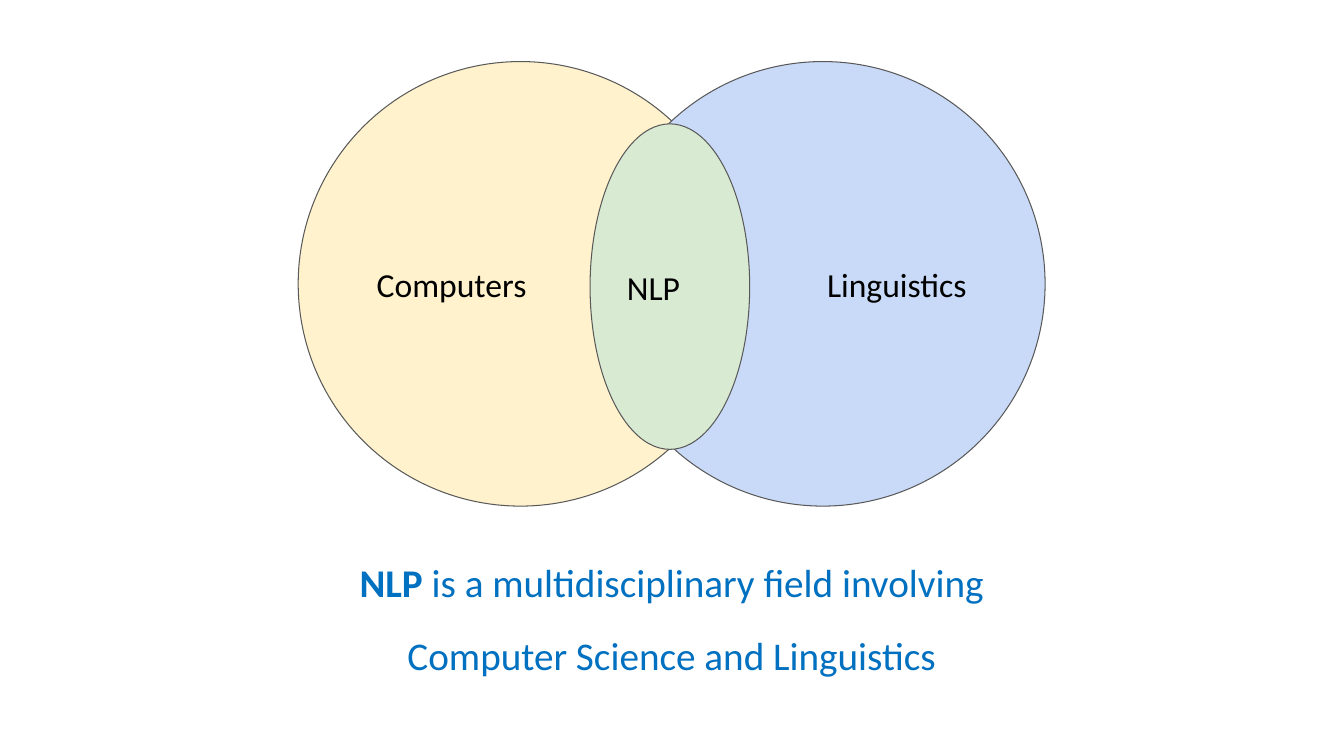
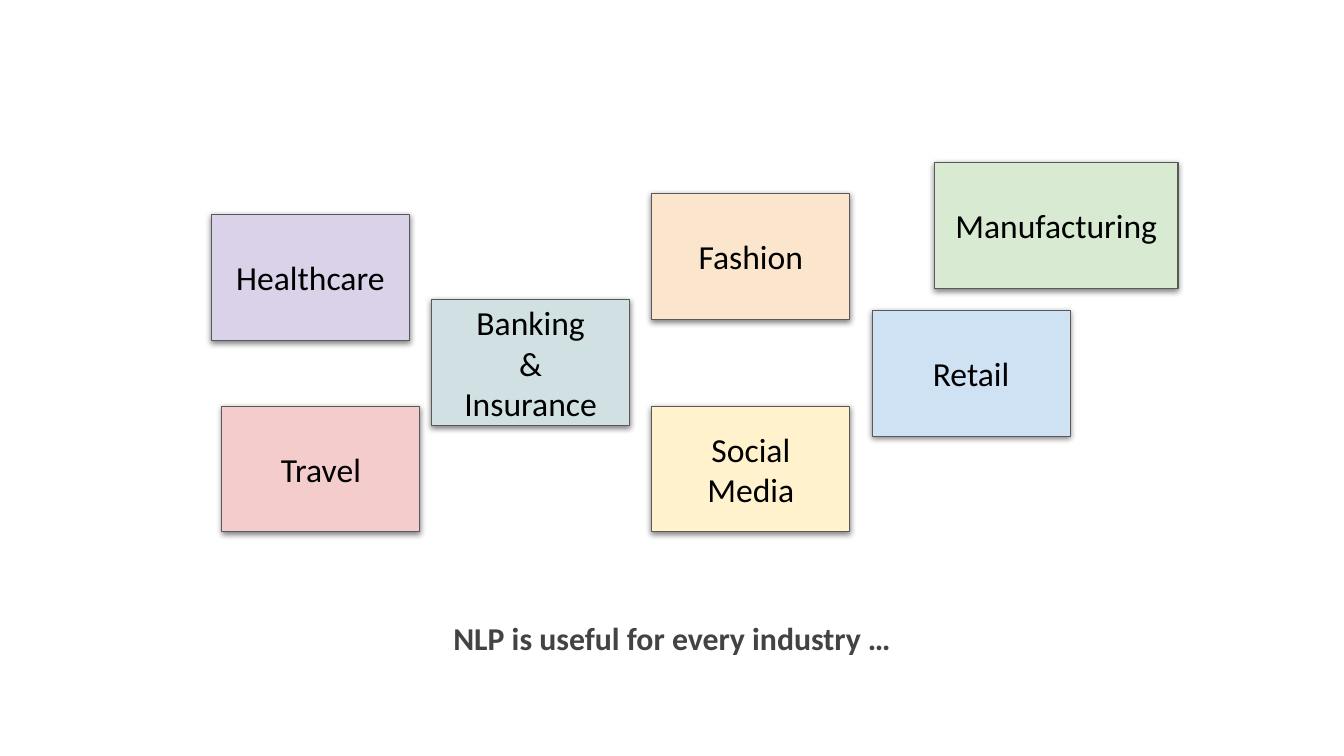
from lxml import etree
from pptx import Presentation
from pptx.dml.color import RGBColor
from pptx.enum.shapes import MSO_SHAPE
from pptx.enum.text import MSO_ANCHOR, MSO_AUTO_SIZE, PP_ALIGN
from pptx.oxml import parse_xml
from pptx.oxml.ns import nsdecls, qn
from pptx.util import Pt

OVAL, RECTANGLE = MSO_SHAPE.OVAL, MSO_SHAPE.RECTANGLE
LEFT, CENTER, RIGHT = PP_ALIGN.LEFT, PP_ALIGN.CENTER, PP_ALIGN.RIGHT
MIDDLE, NO_AUTOFIT = MSO_ANCHOR.MIDDLE, MSO_AUTO_SIZE.NONE

FONT = "Calibri"
INSET = 9.6
TITLE_ONLY = 5
COLORS = {
    "text": "000000", "outline": "595959", "blue": "0070C0", "gray": "434343",
    "yellow": "FFF2CC", "periwinkle": "C9DAF8", "green": "D9EAD3",
    "purple": "D9D2E9", "teal": "D0E0E3", "red": "F4CCCC",
    "orange": "FCE5CD", "sky": "CFE2F3",
}


def write(shape, text, size, color, align=CENTER):
    """Fill the shape with text, one paragraph per line, and return the paragraphs."""
    frame = shape.text_frame
    frame.text = text
    frame.word_wrap = True
    frame.auto_size = NO_AUTOFIT
    frame.vertical_anchor = MIDDLE
    frame.margin_left = frame.margin_right = Pt(INSET)
    frame.margin_top = frame.margin_bottom = Pt(INSET)
    for paragraph in frame.paragraphs:
        paragraph.alignment = align
        paragraph.font.name = FONT
        paragraph.font.size = Pt(size)
        paragraph.font.color.rgb = RGBColor.from_string(COLORS[color])
    return frame.paragraphs


def add_label(slide, kind, box, fill, text, align=CENTER):
    """Add an outlined, filled shape with a label inside."""
    shape = slide.shapes.add_shape(kind, *[Pt(length) for length in box])
    shape.fill.solid()
    shape.fill.fore_color.rgb = RGBColor.from_string(COLORS[fill])
    shape.line.color.rgb = RGBColor.from_string(COLORS["outline"])
    shape.line.width = Pt(0.75)
    shape.shadow.inherit = False
    write(shape, text, 24, "text", align)
    return shape


prs = Presentation()
prs.slide_width, prs.slide_height = Pt(960), Pt(540)
layout = prs.slide_layouts[TITLE_ONLY]

# Slide 1: NLP where computers and linguistics overlap
venn = prs.slides.add_slide(layout)
statement = venn.shapes.title
statement.left, statement.top = Pt(213), Pt(382.5)
statement.width, statement.height = Pt(533.5), Pt(113)
lines = write(statement, "\nComputer Science and Linguistics", 28, "blue")
for words, bold in (("NLP", True), (" is a multidisciplinary field involving", False)):
    run = lines[0].add_run()
    run.text = words
    run.font.bold = bold
for line in lines:
    line.line_spacing = 1.15
lines[1].space_before = Pt(13.3)

DIAMETER = 317.5
for box, fill, field, align in (
    ((213, 44, DIAMETER, DIAMETER), "yellow", "Computers", LEFT),
    ((429, 44, DIAMETER, DIAMETER), "periwinkle", "Linguistics", RIGHT),
    ((421.5, 88.5, 114, 232.5), "green", "NLP", LEFT),
):
    add_label(venn, OVAL, box, fill, field, align)

# Slide 2: industries
industries = prs.slides.add_slide(layout)
conclusion = industries.shapes.title
conclusion.left, conclusion.top = Pt(45.5), Pt(426)
conclusion.width, conclusion.height = Pt(869), Pt(55.5)
caption = write(conclusion, "NLP is useful for every industry …", 22.7, "gray")[0]
caption.font.bold = True
caption.line_spacing = 1.15

CARD_WIDTH, CARD_HEIGHT = 141.5, 90
COLUMNS = [151 + 157.3 * i for i in range(4)]
for left, top, width, fill, industry in (
    (COLUMNS[0], 153, CARD_WIDTH, "purple", "Healthcare"),
    (COLUMNS[1], 214, CARD_WIDTH, "teal", "Banking\n&\nInsurance"),
    (158.5, 290, CARD_WIDTH, "red", "Travel"),
    (COLUMNS[2], 138, CARD_WIDTH, "orange", "Fashion"),
    (COLUMNS[3], 221.5, CARD_WIDTH, "sky", "Retail"),
    (667.5, 116, 174, "green", "Manufacturing"),
    (COLUMNS[2], 290, CARD_WIDTH, "yellow", "Social Media"),
):
    card = add_label(industries, RECTANGLE, (left, top, width, CARD_HEIGHT), fill, industry)
    effects = card._element.spPr.find(qn("a:effectLst"))
    shadow = parse_xml(
        f'<a:outerShdw {nsdecls("a")} blurRad="{Pt(4.5)}" dist="{Pt(1.5)}" '
        'dir="5400000" algn="bl" rotWithShape="0"/>'
    )
    tint = etree.SubElement(shadow, qn("a:srgbClr"), val=COLORS["text"])
    etree.SubElement(tint, qn("a:alpha"), val="50000")
    effects.append(shadow)

prs.save("out.pptx")
